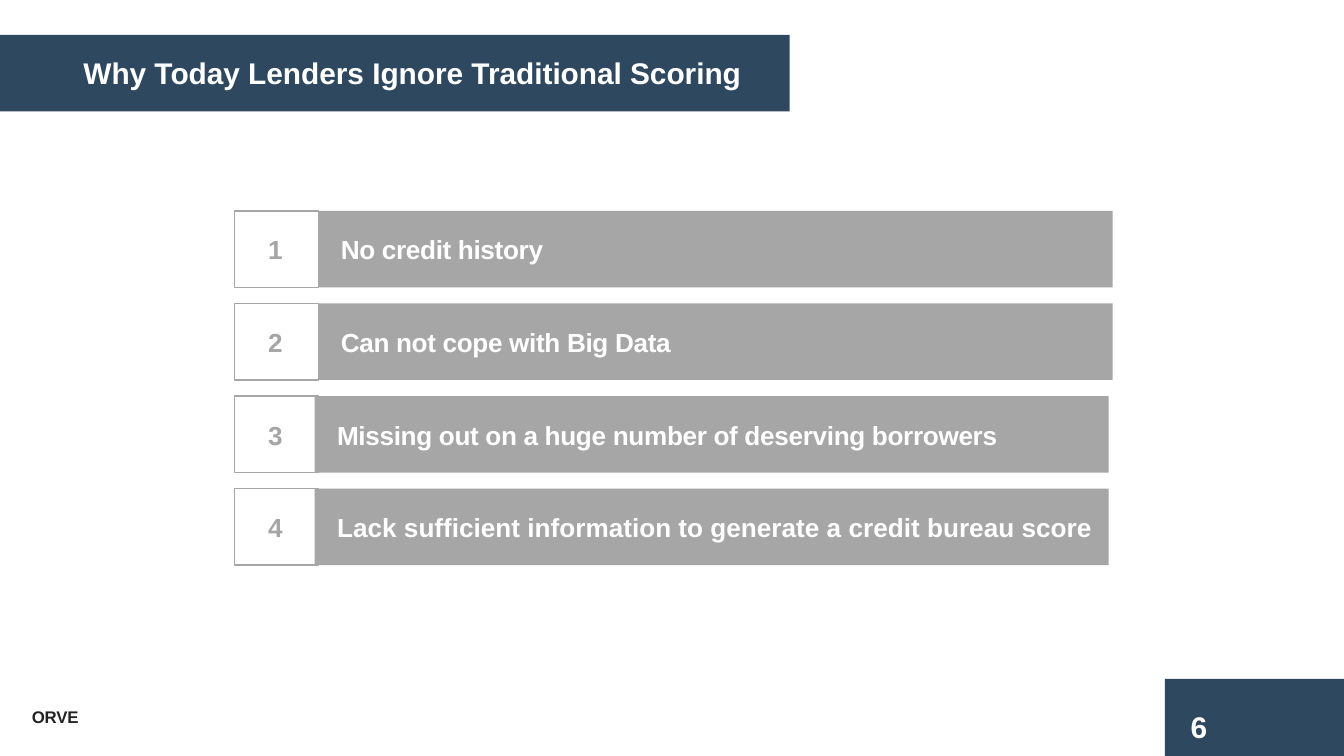
from dataclasses import dataclass

from pptx import Presentation
from pptx.dml.color import RGBColor
from pptx.enum import shapes, text
from pptx.util import Pt


@dataclass(frozen=True)
class Theme:
    navy: RGBColor = RGBColor(0x2E, 0x48, 0x60)
    grey: RGBColor = RGBColor(0xA6, 0xA6, 0xA6)
    white: RGBColor = RGBColor(0xFF, 0xFF, 0xFF)
    ink: RGBColor = RGBColor(0x23, 0x23, 0x23)
    font: str = "Arial"
    heading_size: int = 16
    row_size: int = 14
    footer_size: int = 9


THEME = Theme()

# Wording, left edge of the bar within its row, letter spacing in points
REASONS = [
    ("No credit history", 45, -0.2),
    ("Can not cope with Big Data", 45, -0.2),
    ("Missing out on a huge number of deserving borrowers", 43, -0.2),
    ("Lack sufficient information to generate a credit bureau score", 43, 0),
]


def place(shape, box):
    for name, value in zip(("left", "top", "width", "height"), box):
        setattr(shape, name, Pt(value))


def write(shape, wording, size, color, spacing=0, anchor=text.MSO_ANCHOR.TOP):
    frame = shape.text_frame
    frame_format = {
        "word_wrap": True,
        "auto_size": text.MSO_AUTO_SIZE.NONE,
        "vertical_anchor": anchor,
    }
    for name, value in frame_format.items():
        setattr(frame, name, value)
    paragraph = frame.paragraphs[0]
    paragraph.alignment = text.PP_ALIGN.LEFT
    run = paragraph.add_run()
    run.text = wording
    font_format = {"name": THEME.font, "size": Pt(size), "bold": True}
    for name, value in font_format.items():
        setattr(run.font, name, value)
    run.font.color.rgb = color
    if spacing:
        run._r.get_or_add_rPr().set("spc", str(round(spacing * 100)))


def add_label(slide, box, wording, size, color, **options):
    label = slide.shapes.add_textbox(*map(Pt, box))
    write(label, wording, size, color, **options)


def add_rectangle(slide, box, fill=None, line=None):
    rectangle = slide.shapes.add_shape(
        shapes.MSO_SHAPE.RECTANGLE, *map(Pt, box))
    rectangle.shadow.inherit = False
    if fill is None:
        rectangle.fill.background()
    else:
        rectangle.fill.solid()
        rectangle.fill.fore_color.rgb = fill
    if line is None:
        rectangle.line.fill.background()
    else:
        rectangle.line.color.rgb = line
        rectangle.line.width = Pt(0.75)
    return rectangle


def add_heading(slide, box, wording):
    left, top, width, height = box
    banner = add_rectangle(slide, box, fill=THEME.navy)
    title = slide.shapes.title
    place(title, (left + 37.5, top + 7, width - 48, height + 5))
    write(title, wording, THEME.heading_size, THEME.white)
    banner._element.addnext(title._element)  # keep the title above its banner


def add_reason(slide, box, number, wording, bar_offset, spacing):
    left, top, width, height = box
    bar_left = left + bar_offset
    label_top, label_height = top + 8.75, 24.5
    add_rectangle(slide, (left, top, 45.25, height), line=THEME.grey)
    add_rectangle(slide, (bar_left, top, width - 45, height), fill=THEME.grey)
    add_label(slide, (left + 11, label_top, 23, label_height),
              str(number), THEME.row_size, THEME.grey)
    add_label(slide, (bar_left + 5, label_top, 440, label_height),
              wording, THEME.row_size, THEME.white, spacing=spacing)


def add_reasons(slide, box, pitch=49.6, row_height=41):
    left, top, width, _ = box
    for index, (wording, bar_offset, spacing) in enumerate(REASONS):
        row = (left, top + index * pitch, width, row_height)
        add_reason(slide, row, index + 1, wording, bar_offset, spacing)


def add_page_number(slide, box, number):
    left, top, width, height = box
    add_rectangle(slide, box, fill=THEME.navy)
    add_label(slide, (left + 6.75, top + 11.75, width - 17, height - 14.5),
              str(number), THEME.heading_size, THEME.white,
              anchor=text.MSO_ANCHOR.MIDDLE)


def add_footer(slide, box, wording):
    add_label(slide, box, wording, THEME.footer_size, THEME.ink, spacing=-0.1)


def main():
    presentation = Presentation()
    presentation.slide_width, presentation.slide_height = Pt(720), Pt(405)
    slide = presentation.slides.add_slide(presentation.slide_layouts[5])
    add_page_number(slide, (624, 363.75, 96, 42), 6)
    add_heading(slide, (0, 18.75, 423, 41),
                "Why Today Lenders Ignore Traditional Scoring")
    add_reasons(slide, (125.5, 113, 470.5, 189.8))
    add_footer(slide, (10, 375.25, 232.5, 18), "ORVE")
    presentation.save("out.pptx")


if __name__ == "__main__":
    main()
